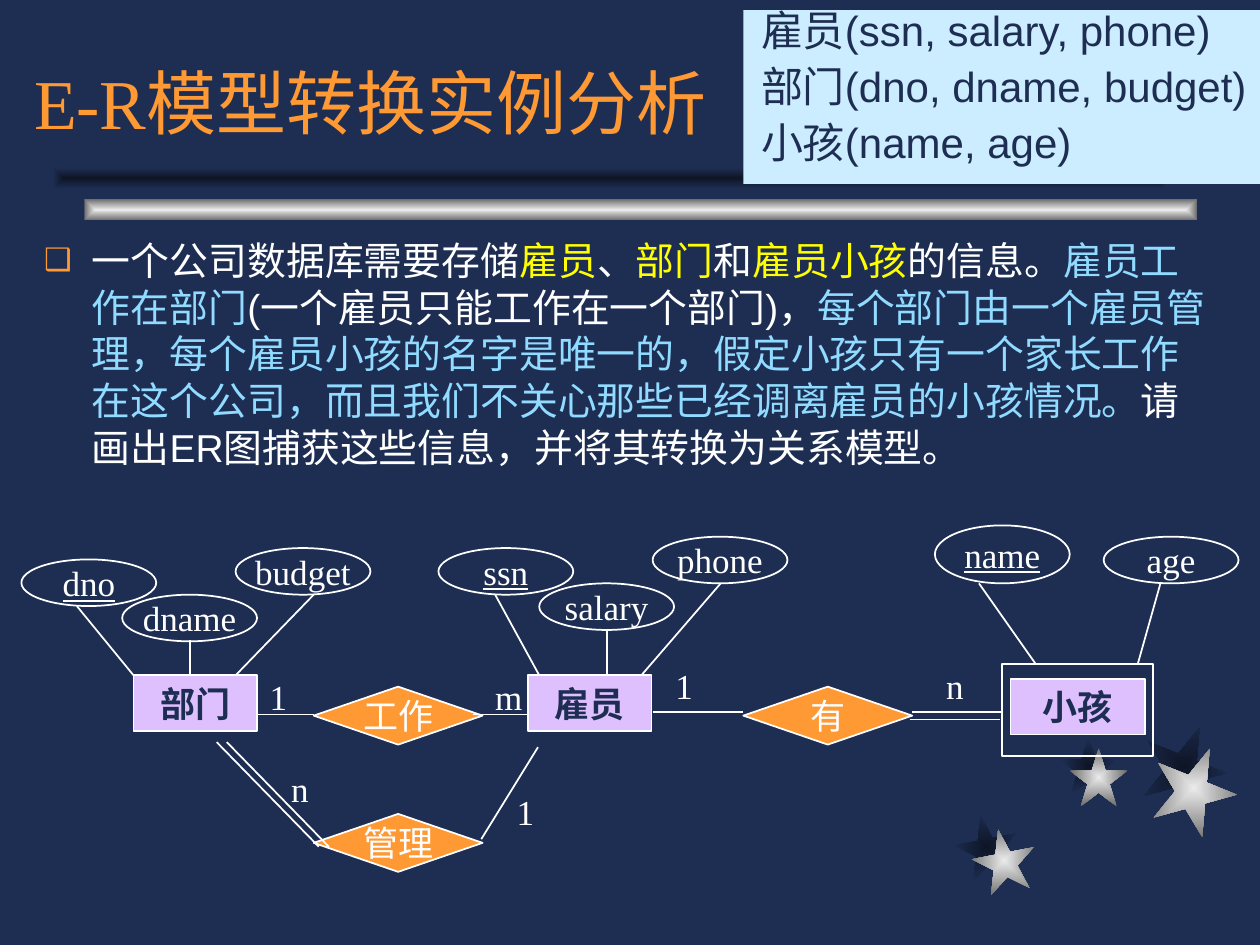
from dataclasses import dataclass
from typing import Optional

import lxml.etree
import pptx
import pptx.dml.color
import pptx.enum.shapes
import pptx.enum.text
import pptx.oxml
import pptx.oxml.ns
import pptx.util

SHAPES = pptx.enum.shapes.MSO_SHAPE
ANCHOR = pptx.enum.text.MSO_ANCHOR
ALIGN = pptx.enum.text.PP_ALIGN
AUTO_SIZE = pptx.enum.text.MSO_AUTO_SIZE
Inches = pptx.util.Inches


@dataclass(frozen=True)
class Theme:
    night: str = "1E2E53"
    shade: str = "0E1526"
    silver: str = "EAEAEA"
    steel: str = "6C6C6C"
    white: str = "FFFFFF"
    orange: str = "FF9933"
    yellow: str = "FFFF00"
    sky: str = "90DBFF"
    lilac: str = "DFC0FF"
    ice: str = "CCECFF"
    serif: str = "Times New Roman"
    sans: str = "Arial"
    title_size: float = 40
    schema_size: float = 24
    body_size: float = 22.2
    label_size: float = 20


THEME = Theme()


@dataclass(frozen=True)
class Box:
    left: float
    top: float
    width: float
    height: float

    def lengths(self) -> tuple:
        return tuple(Inches(n) for n in (self.left, self.top, self.width, self.height))


@dataclass(frozen=True)
class Star:
    box: Box
    turn: float


@dataclass(frozen=True)
class Node:
    text: str
    box: Box
    key: bool = False


@dataclass(frozen=True)
class Edge:
    x1: float
    y1: float
    x2: float
    y2: float


SHADOW_STARS = [Star(Box(7.58, 6.47, 0.5, 0.5), 349), Star(Box(8.41, 5.85, 0.46, 0.46), 0),
                Star(Box(9.06, 5.75, 0.67, 0.67), 22)]
BRIGHT_STARS = [Star(Box(7.72, 6.58, 0.5, 0.5), 349), Star(Box(8.49, 5.94, 0.46, 0.46), 0),
                Star(Box(9.14, 5.92, 0.67, 0.67), 22)]
ENTITIES = [Node("部门", Box(1.06, 5.36, 0.98, 0.44)), Node("雇员", Box(4.19, 5.36, 0.98, 0.44)),
            Node("小孩", Box(8.02, 5.39, 1.07, 0.44))]
RELATIONS = [Node(text, Box(left, top, 1.34, 0.46))
             for text, left, top in [("工作", 2.49, 5.45), ("有", 5.9, 5.45), ("管理", 2.49, 6.46)]]
ATTRIBUTES = [Node(text, Box(left, top, 1.07, height), key) for text, left, top, height, key in [
    ("dno", 0.17, 4.44, 0.37, True), ("dname", 0.97, 4.72, 0.37, False),
    ("budget", 1.87, 4.35, 0.37, False), ("ssn", 3.48, 4.35, 0.37, True),
    ("salary", 4.28, 4.63, 0.37, False), ("phone", 5.18, 4.26, 0.37, False),
    ("name", 7.42, 4.17, 0.46, True), ("age", 8.76, 4.26, 0.37, False)]]
CARDINALITIES = [Node(text, Box(left, top, 0.18, 0.33)) for text, left, top in [
    ("1", 2.14, 5.36), ("m", 3.93, 5.36), ("n", 2.31, 6.09),
    ("1", 4.1, 6.27), ("1", 5.36, 5.27), ("n", 7.51, 5.27)]]
EDGES = [
    Edge(2.05, 5.67, 2.49, 5.67), Edge(3.75, 5.67, 4.2, 5.67), Edge(5.18, 5.65, 5.9, 5.65),
    Edge(7.24, 5.65, 7.95, 5.65), Edge(7.22, 5.71, 7.94, 5.71), Edge(1.72, 5.89, 2.53, 6.72),
    Edge(1.8, 5.89, 2.61, 6.72), Edge(3.82, 6.66, 4.27, 5.93), Edge(0.61, 4.81, 1.06, 5.36),
    Edge(1.51, 5.08, 1.51, 5.36), Edge(2.49, 4.72, 1.87, 5.36), Edge(3.93, 4.72, 4.28, 5.36),
    Edge(4.82, 4.99, 4.82, 5.36), Edge(5.72, 4.63, 5.09, 5.36), Edge(7.77, 4.63, 8.22, 5.27),
    Edge(9.21, 4.63, 9.03, 5.27)]
SCHEMAS = ["雇员(ssn, salary, phone)", "部门(dno, dname, budget)", "小孩(name, age)"]
TASK = [
    ("一个公司数据库需要存储", THEME.white), ("雇员", THEME.yellow), ("、", THEME.white),
    ("部门", THEME.yellow), ("和", THEME.white), ("雇员小孩", THEME.yellow),
    ("的信息。", THEME.white), ("雇员工作在部门", THEME.sky),
    ("(一个雇员只能工作在一个部门)，", THEME.white),
    ("每个部门由一个雇员管理，每个雇员小孩的名字是唯一的，假定小孩只有一个家长"
     "工作在这个公司，而且我们不关心那些已经调离雇员的小孩情况。", THEME.sky),
    ("请画出ER图捕获这些信息，并将其转换为关系模型。", THEME.white)]


def rgb(color: str) -> pptx.dml.color.RGBColor:
    return pptx.dml.color.RGBColor.from_string(color)


def style(span, size: float, color: str, face: str = THEME.serif,
          bold: bool = False, underline: bool = False) -> None:
    span.font.name = face
    span.font.size = pptx.util.Pt(size)
    span.font.color.rgb = rgb(color)
    span.font.bold = bold
    span.font.underline = underline


def set_frame(frame, anchor, wrap: bool = True, inset: tuple = (0.1, 0.05)) -> None:
    frame.auto_size = AUTO_SIZE.NONE
    frame.word_wrap = wrap
    frame.vertical_anchor = anchor
    frame.margin_left = frame.margin_right = Inches(inset[0])
    frame.margin_top = frame.margin_bottom = Inches(inset[1])


def add_shape(page, kind, box: Box, fill: Optional[str] = None, outline: Optional[str] = None):
    shape = page.shapes.add_shape(kind, *box.lengths())
    shape.shadow.inherit = False
    if fill:
        shape.fill.solid()
        shape.fill.fore_color.rgb = rgb(fill)
    else:
        shape.fill.background()
    if outline:
        shape.line.color.rgb = rgb(outline)
        shape.line.width = pptx.util.Pt(1)
    else:
        shape.line.fill.background()
    return shape


def add_glow(page, kind, box: Box, center: str, edge: str, turn: float = 0) -> None:
    shape = add_shape(page, kind, box, center)
    shape.rotation = turn
    gradient = pptx.oxml.parse_xml(
        f'<a:gradFill {pptx.oxml.ns.nsdecls("a")} rotWithShape="1"><a:gsLst>'
        f'<a:gs pos="0"><a:srgbClr val="{center}"/></a:gs>'
        f'<a:gs pos="100000"><a:srgbClr val="{edge}"/></a:gs></a:gsLst>'
        '<a:path path="rect"><a:fillToRect l="50000" t="50000" r="50000" b="50000"/></a:path>'
        '</a:gradFill>')
    solid = shape.element.spPr.find(pptx.oxml.ns.qn("a:solidFill"))
    shape.element.spPr.replace(solid, gradient)


def add_node(page, kind, node: Node, fill: Optional[str] = None,
             color: str = THEME.white, bold: bool = False) -> None:
    shape = add_shape(page, kind, node.box, fill, THEME.white)
    set_frame(shape.text_frame, ANCHOR.MIDDLE, wrap=False)
    para = shape.text_frame.paragraphs[0]
    para.text = node.text
    para.alignment = ALIGN.CENTER
    style(para.runs[0], THEME.label_size, color, bold=bold, underline=node.key)


def add_edge(page, edge: Edge) -> None:
    line = page.shapes.add_connector(
        pptx.enum.shapes.MSO_CONNECTOR.STRAIGHT,
        Inches(edge.x1), Inches(edge.y1), Inches(edge.x2), Inches(edge.y2))
    line.line.color.rgb = rgb(THEME.white)
    line.line.width = pptx.util.Pt(1)
    lxml.etree.SubElement(line.element.spPr, pptx.oxml.ns.qn("a:effectLst"))


def add_cardinality(page, node: Node) -> None:
    label = page.shapes.add_textbox(*node.box.lengths())
    set_frame(label.text_frame, ANCHOR.TOP, inset=(0, 0))
    label.text_frame.text = node.text
    style(label.text_frame.paragraphs[0].runs[0], THEME.label_size, THEME.white)


def place(holder, box: Box, anchor) -> None:
    holder.left, holder.top, holder.width, holder.height = box.lengths()
    set_frame(holder.text_frame, anchor)


def fill_title(page) -> None:
    title = page.shapes.title
    place(title, Box(0.17, 0.24, 8.5, 0.95), ANCHOR.BOTTOM)
    title.text_frame.text = "E-R模型转换实例分析"
    para = title.text_frame.paragraphs[0]
    para.alignment = ALIGN.LEFT
    style(para.runs[0], THEME.title_size, THEME.orange)


def fill_task(page) -> None:
    body = page.placeholders[1]
    place(body, Box(0.25, 1.83, 9.5, 2.47), ANCHOR.TOP)
    para = body.text_frame.paragraphs[0]
    settings = para._p.get_or_add_pPr()
    settings.set("marL", str(Inches(0.38)))
    settings.set("indent", str(Inches(-0.38)))
    names = pptx.oxml.ns.nsdecls("a")
    for bullet in (f'<a:buClr {names}><a:srgbClr val="{THEME.orange}"/></a:buClr>',
                   f'<a:buSzPct {names} val="80000"/>',
                   f'<a:buFont {names} typeface="{THEME.sans}"/>',
                   f'<a:buChar {names} char="❑"/>'):
        settings.append(pptx.oxml.parse_xml(bullet))
    para.space_before = pptx.util.Pt(0)
    for text, color in TASK:
        span = para.add_run()
        span.text = text
        style(span, THEME.body_size, color, THEME.sans)


def add_schemas(page) -> None:
    panel = add_shape(page, SHAPES.RECTANGLE, Box(5.9, 0.08, 4.1, 1.38), THEME.ice)
    set_frame(panel.text_frame, ANCHOR.TOP, inset=(0, 0))
    panel.text_frame.margin_left = Inches(0.14)
    panel.text_frame.text = "\n".join(SCHEMAS)
    for index, para in enumerate(panel.text_frame.paragraphs):
        para.alignment = ALIGN.LEFT
        para.line_spacing = 0.9
        para.space_before = pptx.util.Pt(6 if index else 0)
        style(para.runs[0], THEME.schema_size, THEME.night, THEME.sans)


def main() -> None:
    deck = pptx.Presentation()
    deck.slide_width, deck.slide_height = Inches(10), Inches(7.5)
    page = deck.slides.add_slide(deck.slide_layouts[1])
    page.background.fill.solid()
    page.background.fill.fore_color.rgb = rgb(THEME.night)
    for stars, center, edge in ((SHADOW_STARS, THEME.shade, THEME.night),
                                (BRIGHT_STARS, THEME.silver, THEME.steel)):
        for star in stars:
            add_glow(page, SHAPES.STAR_5_POINT, star.box, center, edge, star.turn)
    add_glow(page, SHAPES.RECTANGLE, Box(0.67, 1.58, 8.83, 0.17), THEME.silver, THEME.steel)
    add_glow(page, SHAPES.RECTANGLE, Box(0.42, 1.33, 8.83, 0.17), THEME.shade, THEME.night)
    fill_title(page)
    fill_task(page)
    for node in ENTITIES:
        add_node(page, SHAPES.RECTANGLE, node, THEME.lilac, THEME.night, bold=True)
    add_shape(page, SHAPES.RECTANGLE, Box(7.95, 5.27, 1.2, 0.73), outline=THEME.white)
    for node in RELATIONS:
        add_node(page, SHAPES.FLOWCHART_DECISION, node, THEME.orange)
    for node in ATTRIBUTES:
        add_node(page, SHAPES.OVAL, node)
    for edge in EDGES:
        add_edge(page, edge)
    for node in CARDINALITIES:
        add_cardinality(page, node)
    add_schemas(page)
    deck.save("out.pptx")


if __name__ == "__main__":
    main()
